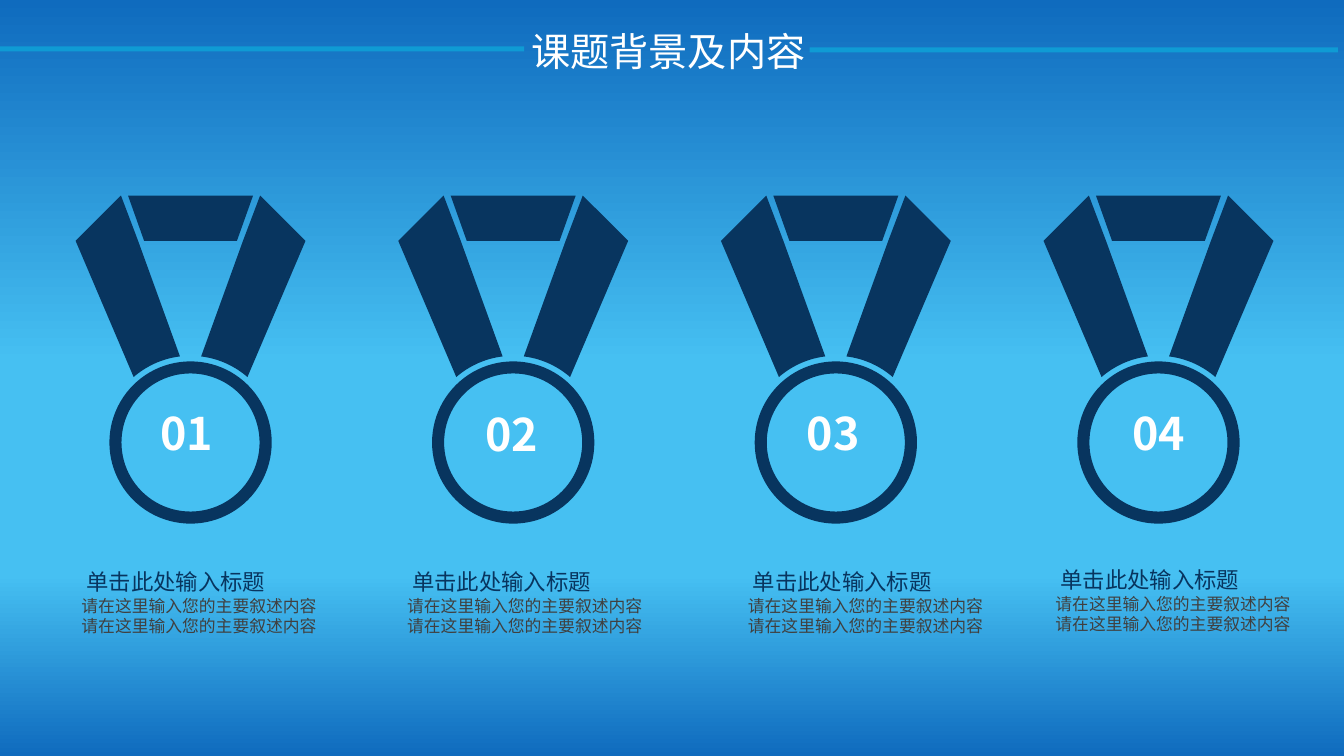
from copy import deepcopy
from math import cos, radians, sin

from lxml.etree import SubElement
from pptx import Presentation
from pptx.dml.color import RGBColor
from pptx.enum.shapes import MSO_SHAPE as SHAPE
from pptx.enum.text import MSO_ANCHOR as ANCHOR, PP_ALIGN as ALIGN
from pptx.oxml.ns import qn
from pptx.util import Inches, Pt

FONT = "Noto Sans CJK SC"
COLORS = {"navy": "08355F", "deep": "0F6BBE", "sky": "46C0F2",
          "rule": "0F9BD4", "white": "FFFFFF", "gray": "404040"}


def write(paragraph, text, size, color, bold=False, align=ALIGN.LEFT):
    """Add formatted text to a paragraph."""
    paragraph.alignment = align
    run = paragraph.add_run()
    run.text = text
    run.font.size = Pt(size)
    run.font.bold = bold
    run.font.name = FONT
    run.font.color.rgb = RGBColor.from_string(COLORS[color])
    SubElement(run.font._element, qn("a:ea"), typeface=FONT)


def paint(shape, color):
    """Give a shape a flat fill without line or shadow."""
    shape.shadow.inherit = False
    shape.fill.solid()
    shape.fill.fore_color.rgb = RGBColor.from_string(COLORS[color])
    shape.line.fill.background()


presentation = Presentation()
presentation.slide_width = Inches(13.33)
presentation.slide_height = Inches(7.5)
slide = presentation.slides.add_slide(presentation.slide_layouts[5])
shapes = slide.shapes

# Background gradient, top to bottom
background = slide.background.fill
background.gradient()
background.gradient_angle = 270
stop_list = slide.element.xpath(".//a:gsLst")[0]
for _ in range(2):
    stop_list.append(deepcopy(stop_list[0]))
gradient = [(0, "deep"), (0.48, "sky"), (0.76, "sky"), (1, "deep")]
for stop, (position, color) in zip(background.gradient_stops, gradient):
    stop.position = position
    stop.color.rgb = RGBColor.from_string(COLORS[color])

# Title between two rules
title = shapes.title
title.left, title.top = Inches(5.17), Inches(0.22)
title.width, title.height = Inches(2.96), Inches(0.57)
title.text_frame.vertical_anchor = ANCHOR.TOP
write(title.text_frame.paragraphs[0], "课题背景及内容", 28, "white")
for left, top, width in [(0, 0.46, 5.2), (8.03, 0.47, 5.24)]:
    rule = shapes.add_shape(SHAPE.RECTANGLE, Inches(left), Inches(top),
                            Inches(width), Inches(0.05))
    paint(rule, "rule")

# Medal outlines, measured from the medal's left edge
MEDAL_WIDTH, CENTER_Y, RING_SIZE, RING_BAND = 2.28, 4.39, 1.61, 0.12
CENTER_X = MEDAL_WIDTH / 2
ARC_RADIUS = 0.86
arc = [(CENTER_X - ARC_RADIUS * sin(radians(angle)),
        CENTER_Y - ARC_RADIUS * cos(radians(angle)))
       for angle in range(41, 5, -2)]
left_ribbon = [(0, 2.39), *arc, (0.62, 2.39), (0.45, 1.94)]
right_ribbon = [(MEDAL_WIDTH - x, y) for x, y in left_ribbon]
top_ribbon = [(0.68, 2.39), (1.6, 2.39), (1.76, 1.94), (0.52, 1.94)]

# Each column: number box left and top, caption left and top
columns = [(1.24, 3.98, 0.71, 5.59), (4.46, 3.99, 3.94, 5.59),
           (7.65, 3.98, 7.32, 5.59), (10.88, 3.98, 10.37, 5.57)]
for index, (number_left, number_top, caption_left, caption_top) in enumerate(columns):
    medal_left = 0.75 + 3.2 * index
    for outline in (top_ribbon, left_ribbon, right_ribbon):
        points = [(Inches(medal_left + x), Inches(y)) for x, y in outline]
        builder = shapes.build_freeform(*points[0])
        builder.add_line_segments(points[1:], close=True)
        paint(builder.convert_to_shape(), "navy")
    ring = shapes.add_shape(SHAPE.DONUT, Inches(medal_left + CENTER_X - RING_SIZE / 2),
                            Inches(CENTER_Y - RING_SIZE / 2),
                            Inches(RING_SIZE), Inches(RING_SIZE))
    ring.adjustments[0] = RING_BAND / RING_SIZE
    paint(ring, "navy")

    number = shapes.add_textbox(Inches(number_left), Inches(number_top),
                                Inches(1.23), Inches(0.64)).text_frame
    number.word_wrap = True
    write(number.paragraphs[0], f"{index + 1:02}", 32, "white",
          bold=True, align=ALIGN.CENTER)

    caption = shapes.add_textbox(Inches(caption_left), Inches(caption_top),
                                 Inches(2.56), Inches(0.91)).text_frame
    caption.word_wrap = True
    write(caption.paragraphs[0], " 单击此处输入标题", 16, "navy")
    for _ in range(2):
        write(caption.add_paragraph(), "请在这里输入您的主要叙述内容", 12, "gray")

presentation.save("out.pptx")
